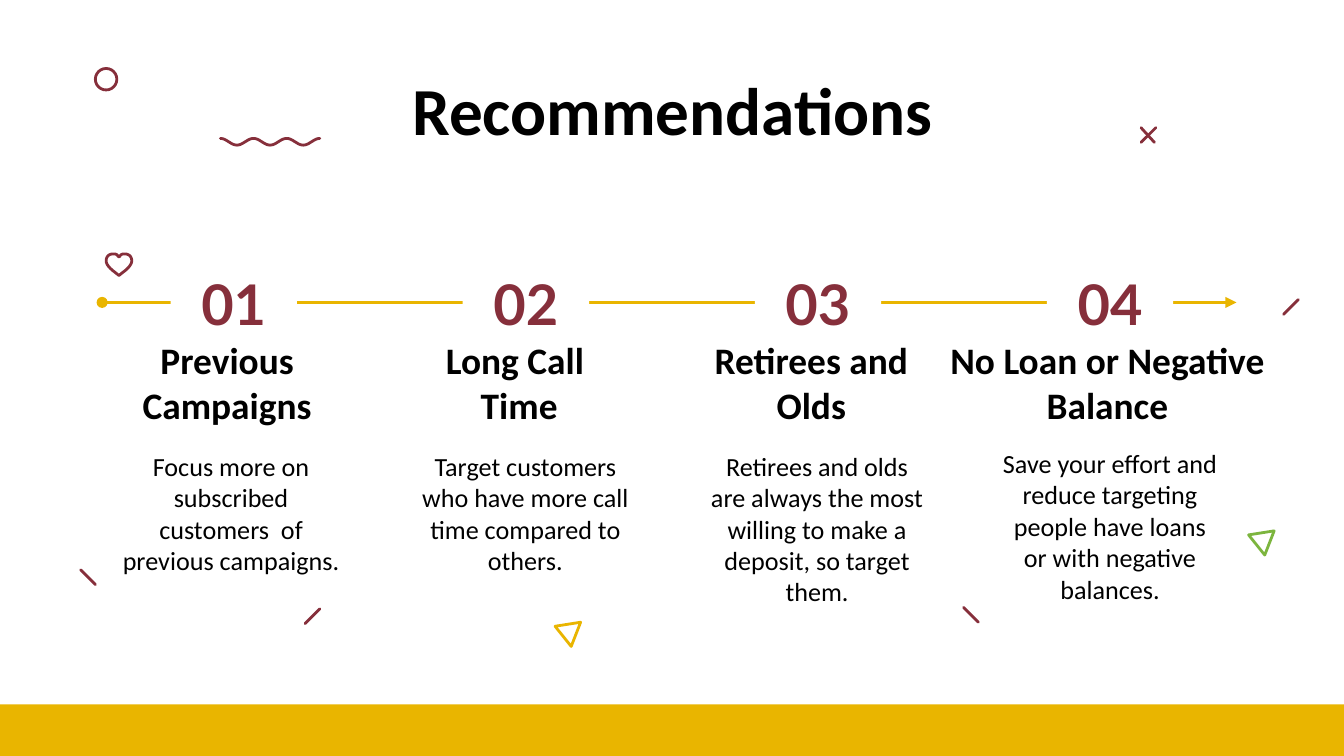
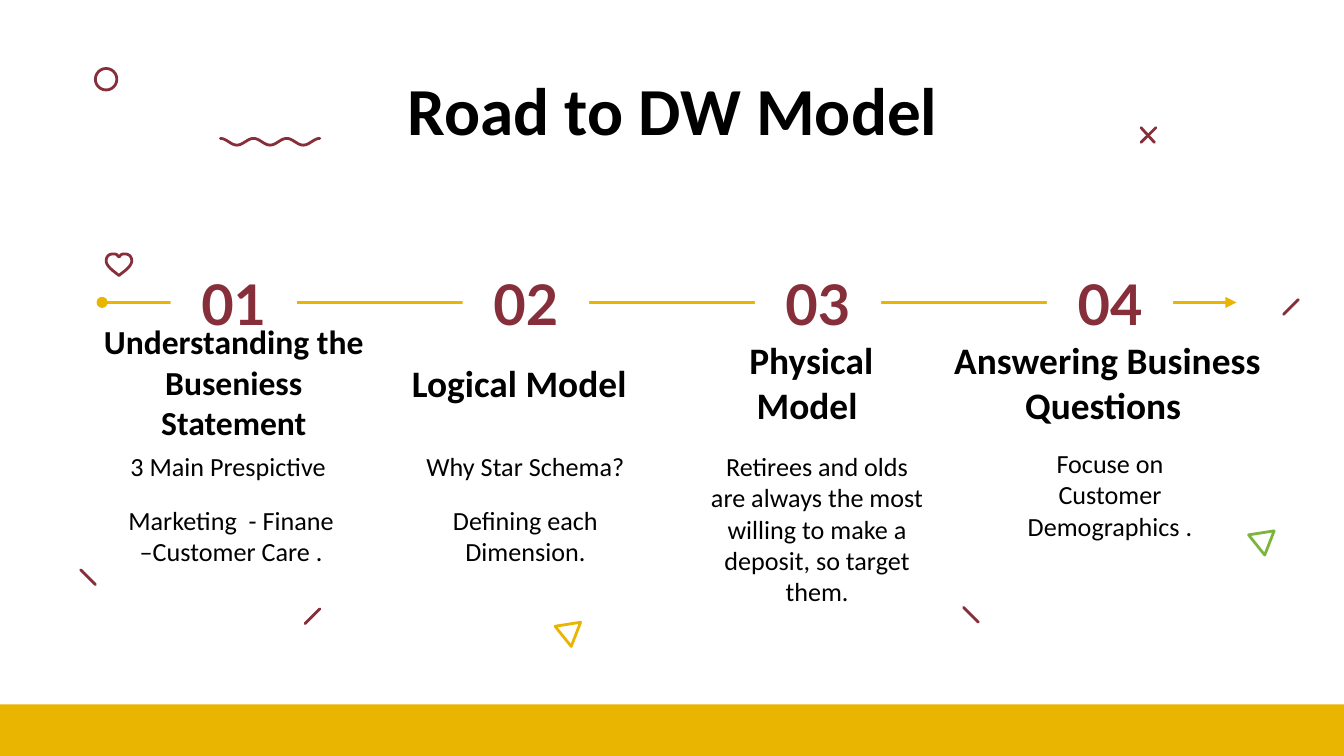
from dataclasses import dataclass
from math import cos, pi
from typing import Optional

from lxml.etree import SubElement
from pptx import Presentation
from pptx.dml.color import RGBColor
from pptx.enum.shapes import MSO_CONNECTOR, MSO_SHAPE
from pptx.enum.text import MSO_ANCHOR, PP_ALIGN
from pptx.oxml.ns import qn
from pptx.util import Inches, Pt

GOLD, MAROON, GREEN = "E9B500", "862F3B", "7CB53E"
WHITE, BLACK = "FFFFFF", "000000"

Point = tuple[float, float]


@dataclass(frozen=True)
class Frame:
    left: float
    top: float
    width: float
    height: float

    def inches(self) -> list[int]:
        return [Inches(side) for side in (self.left, self.top, self.width, self.height)]


@dataclass(frozen=True)
class TextStyle:
    size: int
    color: str = BLACK
    font: str = "Calibri"
    bold: bool = True
    anchor: MSO_ANCHOR = MSO_ANCHOR.MIDDLE
    space_after: int = 0


@dataclass(frozen=True)
class Stroke:
    start: Point
    end: Point


@dataclass(frozen=True)
class Step:
    heading: list[str]
    body: list[str]
    heading_frame: Optional[Frame] = None
    heading_size: int = 20


@dataclass(frozen=True)
class Roadmap:
    title: str
    steps: list[Step]


TITLE = TextStyle(36)
NUMBER = TextStyle(30, MAROON, "Lato")
BODY = TextStyle(14, bold=False, anchor=MSO_ANCHOR.TOP, space_after=12)

TITLE_FRAME = Frame(0.79, 0.49, 8.43, 0.63)
BAND_FRAME = Frame(0, 5.24, 10, 0.39)
STEP_PITCH = 6.52 / 3
NUMBER_FRAMES = [Frame(1.27 + STEP_PITCH * i, 1.94, 0.94, 0.63) for i in range(4)]
HEADING_FRAMES = [Frame(0.79 + STEP_PITCH * i, 2.5, 1.8, 0.69) for i in range(3)]
HEADING_FRAMES.append(Frame(6.94, 2.35, 2.6, 0.99))
BODY_FRAMES = [
    Frame(0.79, 3.25, 1.86, 1.26),
    Frame(3.01, 3.25, 1.8, 1.26),
    Frame(5.18, 3.25, 1.8, 1.41),
    Frame(7.36, 3.23, 1.8, 1.43),
]

TIMELINE = Stroke((0.76, 2.25), (9.2, 2.25))
DASHES = [
    Stroke((9.66, 2.23), (9.55, 2.34)),
    Stroke((7.17, 4.52), (7.28, 4.63)),
    Stroke((0.6, 4.24), (0.71, 4.35)),
    Stroke((2.38, 4.53), (2.27, 4.64)),
    Stroke((8.6, 0.95), (8.49, 1.06)),
    Stroke((8.49, 0.95), (8.59, 1.06)),
]
TRIANGLES = [((4.13, 4.63), GOLD), ((9.29, 3.95), GREEN)]
HEART_AXIS = 0.885
HEART_CURVES = [
    [(0.86, 2.03), (0.79, 1.98), (0.79, 1.95), (0.79, 1.94)],
    [(0.79, 1.94), (0.79, 1.91), (0.81, 1.89), (0.84, 1.89)],
    [(0.84, 1.89), (0.86, 1.89), (0.87, 1.89), (0.88, 1.91)],
]

ROADMAPS = [
    Roadmap("Recommendations", [
        Step(["Previous Campaigns"],
             ["Focus more on subscribed customers  of previous campaigns."]),
        Step(["Long Call ", "Time"],
             ["Target customers who have more call time compared to others."]),
        Step(["Retirees and Olds"],
             ["Retirees and olds are always the most willing to make a deposit, "
              "so target them."]),
        Step(["No Loan or Negative Balance"],
             ["Save your effort and reduce targeting people have loans or with "
              "negative balances."]),
    ]),
    Roadmap("Road to DW Model", [
        Step(["Understanding the Buseniess Statement"],
             ["3 Main Prespictive ", "Marketing  - Finane –Customer Care ."],
             Frame(0.62, 2.4, 2.24, 0.88), 18),
        Step(["Logical Model"], ["Why Star Schema?", "Defining each Dimension."]),
        Step(["Physical Model "],
             ["Retirees and olds are always the most willing to make a deposit, "
              "so target them."]),
        Step(["Answering Business Questions "], ["Focuse on Customer Demographics ."]),
    ]),
]


def rgb(color: str) -> RGBColor:
    return RGBColor.from_string(color)


def style_line(line, color: str) -> None:
    """Give a line its colour and width, with round caps and joins."""
    line.color.rgb = rgb(color)
    line.width = Pt(1.5)
    outline = line._get_or_add_ln()
    outline.set("cap", "rnd")
    SubElement(outline, qn("a:round"))


def add_stroke(page, stroke: Stroke, color: str):
    ends = [Inches(value) for value in (*stroke.start, *stroke.end)]
    connector = page.shapes.add_connector(MSO_CONNECTOR.STRAIGHT, *ends)
    style_line(connector.line, color)
    SubElement(connector._element.spPr, qn("a:effectLst"))
    return connector


def outline_only(shape, color: str) -> None:
    shape.shadow.inherit = False
    shape.fill.background()
    style_line(shape.line, color)


def add_outline(page, points: list[Point], color: str, close: bool = True) -> None:
    corners = [(Inches(x), Inches(y)) for x, y in points]
    builder = page.shapes.build_freeform(*corners[0])
    builder.add_line_segments(corners[1:], close=close)
    outline_only(builder.convert_to_shape(), color)


def add_rectangle(page, frame: Frame, color: str):
    shape = page.shapes.add_shape(MSO_SHAPE.RECTANGLE, *frame.inches())
    shape.shadow.inherit = False
    shape.fill.solid()
    shape.fill.fore_color.rgb = rgb(color)
    shape.line.fill.background()
    return shape


def write(shape, paragraphs: list[str], style: TextStyle) -> None:
    text = shape.text_frame
    text.word_wrap = True
    text.vertical_anchor = style.anchor
    text.margin_left = text.margin_right = Inches(0.1)
    text.margin_top = text.margin_bottom = Inches(0.1)
    text.text = "\n".join(paragraphs)
    for para in text.paragraphs:
        para.alignment = PP_ALIGN.CENTER
        para.space_after = Pt(style.space_after)
        para.font.size = Pt(style.size)
        para.font.name = style.font
        para.font.bold = style.bold
        para.font.color.rgb = rgb(style.color)


def add_text(page, frame: Frame, paragraphs: list[str], style: TextStyle) -> None:
    write(page.shapes.add_textbox(*frame.inches()), paragraphs, style)


def curve_points(controls: list[Point], count: int = 8) -> list[Point]:
    """Sample a cubic curve given by its four control points."""
    points = []
    for index in range(count + 1):
        t = index / count
        weights = ((1 - t) ** 3, 3 * t * (1 - t) ** 2, 3 * t * t * (1 - t), t ** 3)
        points.append((
            sum(w * x for w, (x, _) in zip(weights, controls)),
            sum(w * y for w, (_, y) in zip(weights, controls)),
        ))
    return points


def add_heart(page) -> None:
    left = [point for curve in HEART_CURVES for point in curve_points(curve)]
    right = [(2 * HEART_AXIS - x, y) for x, y in reversed(left)]
    add_outline(page, [(HEART_AXIS, 2.05), *left, *right], MAROON)


def add_wave(page) -> None:
    """Draw three periods of a wave, starting on a crest."""
    count = 72
    points = [(1.64 + 0.74 * i / count, 1.055 - 0.025 * cos(6 * pi * i / count))
              for i in range(count + 1)]
    add_outline(page, points, MAROON, close=False)


def add_decorations(page) -> None:
    add_rectangle(page, BAND_FRAME, GOLD)
    for (left, top), color in TRIANGLES:
        corners = [(left + 0.19, top), (left, top + 0.03), (left + 0.12, top + 0.18)]
        add_outline(page, corners, color)
    add_wave(page)
    add_heart(page)
    ring = page.shapes.add_shape(MSO_SHAPE.OVAL, *Frame(0.71, 0.51, 0.16, 0.16).inches())
    outline_only(ring, MAROON)
    for dash in DASHES:
        add_stroke(page, dash, MAROON)


def add_timeline(page) -> None:
    outline = add_stroke(page, TIMELINE, GOLD).line._get_or_add_ln()
    SubElement(outline, qn("a:headEnd"), type="oval")
    SubElement(outline, qn("a:tailEnd"), type="triangle")
    for number, frame in enumerate(NUMBER_FRAMES, start=1):
        write(add_rectangle(page, frame, WHITE), [f"{number:02}"], NUMBER)


def add_roadmap(deck, roadmap: Roadmap) -> None:
    page = deck.slides.add_slide(deck.slide_layouts[6])
    add_decorations(page)
    add_text(page, TITLE_FRAME, [roadmap.title], TITLE)
    for step, frame in zip(roadmap.steps, BODY_FRAMES):
        add_text(page, frame, step.body, BODY)
    add_timeline(page)
    for step, frame in zip(roadmap.steps, HEADING_FRAMES):
        add_text(page, step.heading_frame or frame, step.heading,
                 TextStyle(step.heading_size))


def main() -> None:
    deck = Presentation()
    deck.slide_width = Inches(10)
    deck.slide_height = deck.slide_width * 9 // 16
    for roadmap in ROADMAPS:
        add_roadmap(deck, roadmap)
    deck.save("out.pptx")


if __name__ == "__main__":
    main()
